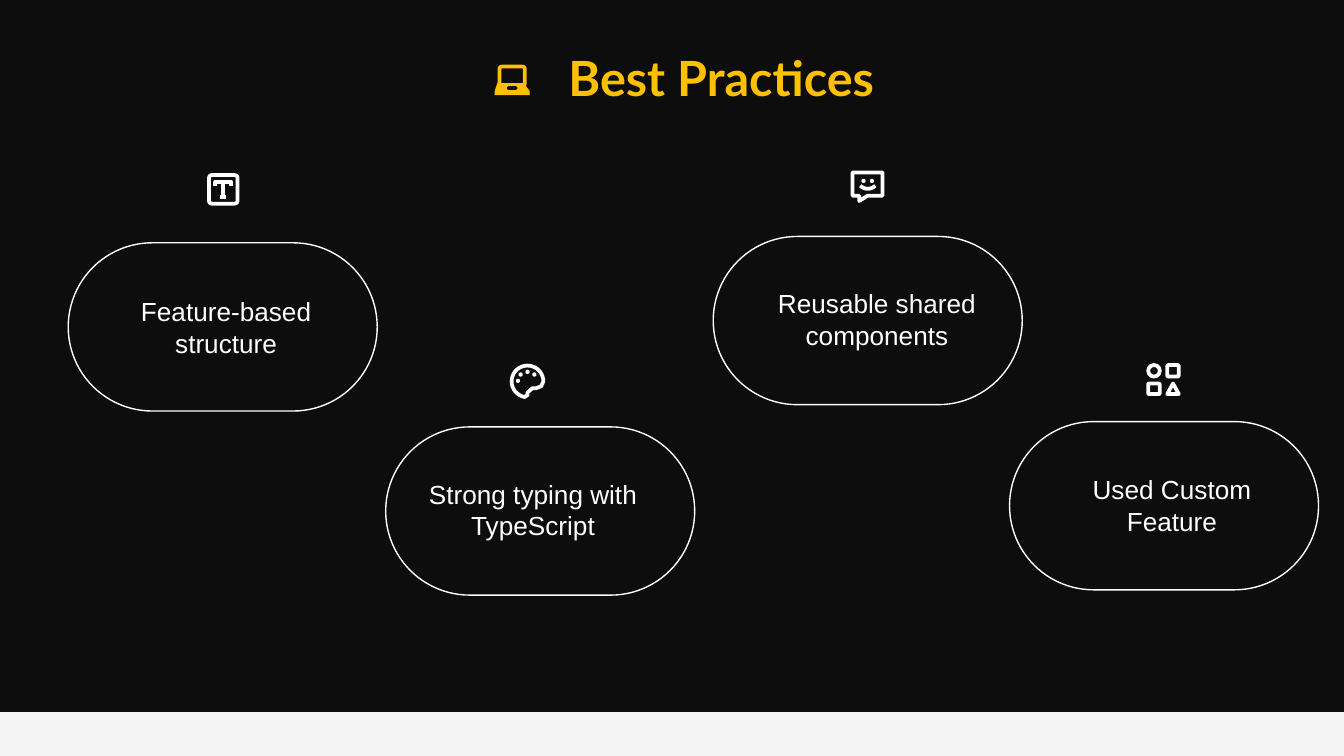
from math import cos, radians, sin

from lxml import etree
from pptx import Presentation
from pptx.dml.color import RGBColor
from pptx.enum.shapes import MSO_SHAPE
from pptx.enum.text import MSO_ANCHOR, PP_ALIGN
from pptx.oxml.ns import qn
from pptx.util import Cm, Pt

RECT = MSO_SHAPE.RECTANGLE
ROUNDED = MSO_SHAPE.ROUNDED_RECTANGLE
OVAL = MSO_SHAPE.OVAL
TRIANGLE = MSO_SHAPE.ISOSCELES_TRIANGLE
CENTER = PP_ALIGN.CENTER
MIDDLE = MSO_ANCHOR.MIDDLE

BLACK, WHITE, GOLD, LIGHT = "0D0D0D", "FFFFFF", "FFC000", "F3F3F3"
WIDTH, HEIGHT = 25.4, 14.29
PILL_WIDTH, PILL_HEIGHT = 5.84, 3.18
ICON_STROKE = 2

# Caption, pill left and top, caption left, top and width (cm)
PRACTICES = [
    ("Feature-based structure", 1.29, 4.59, 1.57, 5.46, 5.41),
    ("Strong typing with TypeScript", 7.29, 8.07, 7.37, 8.91, 5.41),
    ("Reusable shared components", 13.48, 4.47, 13.87, 5.31, 5.41),
    ("Used Custom Feature", 19.08, 7.97, 19.79, 8.82, 4.72),
]


def color(value):
    return RGBColor.from_string(value)


def paint(shape, fill=None, line=None, stroke=ICON_STROKE):
    shape.shadow.inherit = False
    if fill:
        shape.fill.solid()
        shape.fill.fore_color.rgb = color(fill)
    else:
        shape.fill.background()
    if line:
        shape.line.color.rgb = color(line)
        shape.line.width = Pt(stroke)
        outline = shape.element.spPr.find(qn("a:ln"))
        etree.SubElement(outline, qn("a:round"))
    else:
        shape.line.fill.background()


def add_preset(slide, kind, left, top, width, height, corner=None, **style):
    shape = slide.shapes.add_shape(kind, Cm(left), Cm(top), Cm(width), Cm(height))
    if corner is not None:
        shape.adjustments[0] = corner
    paint(shape, **style)


def add_outline(slide, points, close=False, **style):
    start, *rest = [(Cm(x), Cm(y)) for x, y in points]
    builder = slide.shapes.build_freeform(*start)
    builder.add_line_segments(rest, close=close)
    paint(builder.convert_to_shape(), **style)


def add_text(slide, text, left, top, width, height, font, size, ink, bold=False):
    box = slide.shapes.add_textbox(Cm(left), Cm(top), Cm(width), Cm(height))
    frame = box.text_frame
    frame.word_wrap = True
    frame.vertical_anchor = MIDDLE
    paragraph = frame.paragraphs[0]
    paragraph.text = text
    paragraph.alignment = CENTER
    paragraph.font.name = font
    paragraph.font.size = Pt(size)
    paragraph.font.bold = bold
    paragraph.font.color.rgb = color(ink)


def arc(x, y, radius, start, end, step):
    angles = [radians(a) for a in range(start, end + step, step)]
    return [(x + radius * cos(a), y + radius * sin(a)) for a in angles]


def add_dots(slide, places):
    for left, top in places:
        add_preset(slide, OVAL, left, top, 0.08, 0.08, fill=WHITE)


def add_laptop_icon(slide):
    add_preset(slide, ROUNDED, 9.44, 1.26, 0.48, 0.36, 0.12, line=GOLD)
    base = [(9.4, 1.57), (9.9, 1.57), (10.01, 1.72),
            (10.01, 1.8), (9.35, 1.8), (9.35, 1.72)]
    add_outline(slide, base, close=True, fill=GOLD)
    add_preset(slide, ROUNDED, 9.58, 1.63, 0.2, 0.07, 0.5, fill=BLACK)


def add_letter_icon(slide):
    add_preset(slide, ROUNDED, 3.95, 3.31, 0.54, 0.54, 0.1, line=WHITE)
    bar = [(4.07, 3.51), (4.07, 3.44), (4.37, 3.44), (4.37, 3.51)]
    stem = [(4.22, 3.44), (4.22, 3.72)]
    foot = [(4.16, 3.72), (4.28, 3.72)]
    for mark in (bar, stem, foot):
        add_outline(slide, mark, line=WHITE)


def add_palette_icon(slide):
    thumb_notch = [(9.97, 7.47), (9.97, 7.42), (10.06, 7.34),
                   (10.13, 7.34), (10.23, 7.3)]
    rim = arc(9.97, 7.21, 0.3, 100, 360, 10)
    add_outline(slide, rim + thumb_notch[::-1], close=True, line=WHITE)
    add_dots(slide, [(9.75, 7.16), (9.8, 7.04), (9.93, 6.99), (10.06, 7.04)])


def add_smile_icon(slide):
    bubble = [(16.11, 3.26), (16.68, 3.26), (16.68, 3.7), (16.4, 3.7),
              (16.24, 3.8), (16.24, 3.7), (16.11, 3.7)]
    add_outline(slide, bubble, close=True, line=WHITE)
    add_outline(slide, arc(16.4, 3.37, 0.2, 45, 135, 10), line=WHITE)
    add_dots(slide, [(16.28, 3.38), (16.44, 3.38)])


def add_shapes_icon(slide):
    left, right, top, bottom = 21.7, 22.06, 6.9, 7.25
    add_preset(slide, OVAL, left, top, 0.22, 0.22, line=WHITE)
    add_preset(slide, ROUNDED, right, top, 0.22, 0.22, 0.12, line=WHITE)
    add_preset(slide, ROUNDED, left, bottom, 0.22, 0.2, 0.12, line=WHITE)
    add_preset(slide, TRIANGLE, right, bottom, 0.22, 0.2, line=WHITE)


def main():
    deck = Presentation()
    deck.slide_width, deck.slide_height = Cm(WIDTH), Cm(HEIGHT)
    slide = deck.slides.add_slide(deck.slide_layouts[6])
    slide.background.fill.solid()
    slide.background.fill.fore_color.rgb = color(BLACK)

    # Title and footer strip
    add_text(slide, "Best Practices", 1.57, 0.66, 24.13, 1.6, "Lato", 26, GOLD, bold=True)
    add_laptop_icon(slide)
    add_preset(slide, RECT, 0, 13.46, WIDTH, HEIGHT - 13.46, fill=LIGHT)

    # Practices
    for caption, left, top, text_left, text_top, text_width in PRACTICES:
        add_preset(slide, ROUNDED, left, top, PILL_WIDTH, PILL_HEIGHT, 0.5,
                   line=WHITE, stroke=0.75)
        add_text(slide, caption, text_left, text_top, text_width, 1.45, "Arial", 14, WHITE)

    # Icons above the pills
    add_letter_icon(slide)
    add_palette_icon(slide)
    add_smile_icon(slide)
    add_shapes_icon(slide)

    deck.save("out.pptx")


if __name__ == "__main__":
    main()
